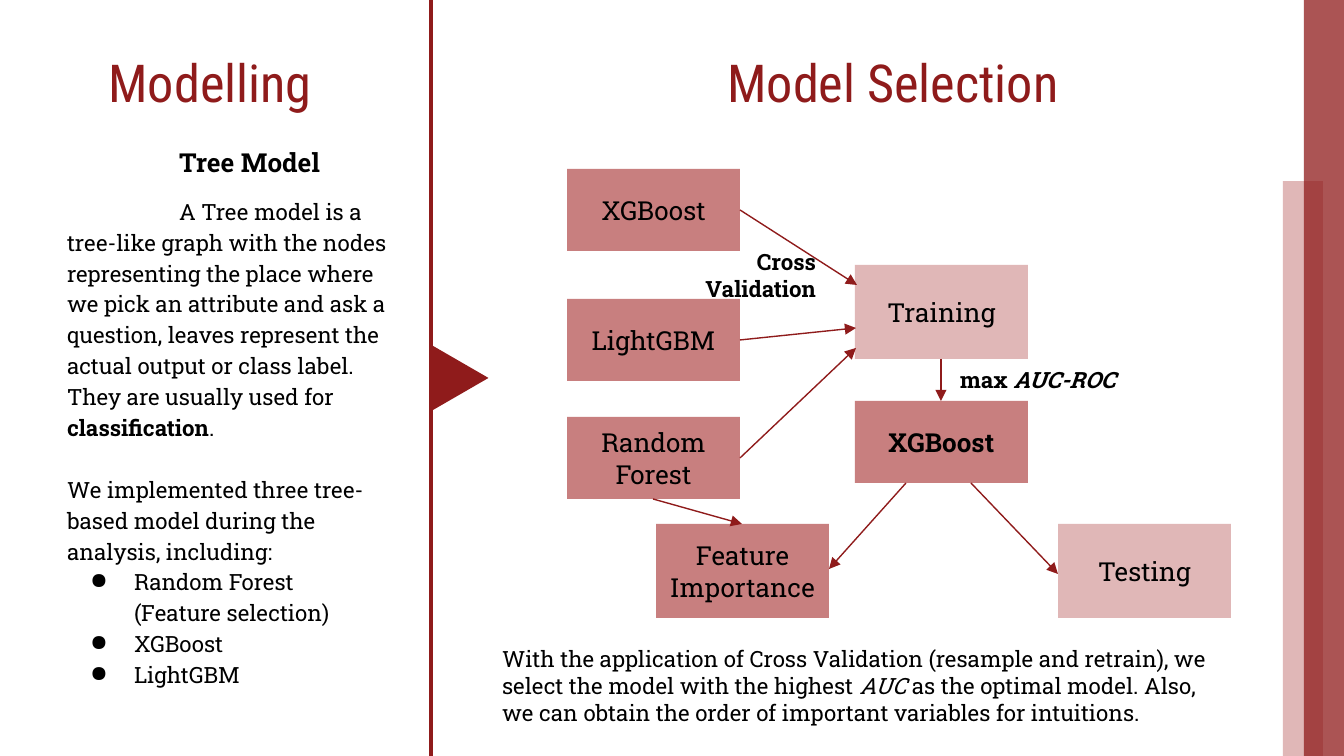
from lxml import etree
from pptx import Presentation
from pptx.dml.color import RGBColor
from pptx.enum.shapes import MSO_CONNECTOR, MSO_SHAPE
from pptx.enum.text import MSO_ANCHOR, PP_ALIGN
from pptx.oxml.ns import qn
from pptx.util import Emu, Pt

EMU_PER_PX = 914400 / 134.4
DARK, ROSE, BLACK = "8F1B1B", "C87F7F", "000000"
BODY, HEADING = "Roboto Slab", "Roboto Condensed"
NODE_W, NODE_H, TALL_H = 173, 82, 94
PALE = 56


def px(n):
    return Emu(round(n * EMU_PER_PX))


def rgb(color):
    return RGBColor.from_string(color)


def add_text(tf, runs, first=False, size=12, font=BODY, color=BLACK, bold=False,
             align=PP_ALIGN.LEFT, margin=0, indent=0, bullet=None,
             spacing=None, before=0):
    """Add a paragraph; runs is a string or (text, bold, italic) tuples."""
    p = tf.paragraphs[0] if first else tf.add_paragraph()
    p.alignment = align
    pPr = p._p.get_or_add_pPr()
    pPr.set("marL", str(px(margin)))
    pPr.set("indent", str(px(indent)))
    if bullet:
        etree.SubElement(pPr, qn("a:buChar")).set("char", bullet)
    if spacing:
        p.line_spacing = spacing
    if before:
        p.space_before = Pt(before)
    if isinstance(runs, str):
        runs = [(runs, bold, False)]
    for text, is_bold, is_italic in runs:
        for i, line in enumerate(text.split("\n")):
            if i:
                p.add_line_break()
            r = p.add_run()
            r.text = line
            r.font.name, r.font.size = font, Pt(size)
            r.font.bold, r.font.italic = is_bold, is_italic
            r.font.color.rgb = rgb(color)


def set_frame(tf, anchor):
    tf.word_wrap = True
    tf.vertical_anchor = anchor
    tf.margin_left = tf.margin_right = tf.margin_top = tf.margin_bottom = px(13)


def add_box(s, x, y, w, h, anchor=MSO_ANCHOR.TOP):
    tf = s.shapes.add_textbox(px(x), px(y), px(w), px(h)).text_frame
    set_frame(tf, anchor)
    return tf


def add_title(s, text, x, w):
    tf = add_box(s, x, 31, w, 102, MSO_ANCHOR.MIDDLE)
    add_text(tf, text, first=True, size=28, font=HEADING, color=DARK,
             align=PP_ALIGN.CENTER)


def add_filled(s, kind, x, y, w, h, color, opacity=100):
    sp = s.shapes.add_shape(kind, px(x), px(y), px(w), px(h))
    sp.shadow.inherit = False
    sp.fill.solid()
    sp.fill.fore_color.rgb = rgb(color)
    sp.line.fill.background()
    if opacity < 100:
        clr = sp._element.spPr.find(".//" + qn("a:srgbClr"))
        etree.SubElement(clr, qn("a:alpha")).set("val", str(opacity * 1000))
    return sp


def add_node(s, text, x, y, h=NODE_H, opacity=100, bold=False):
    sp = add_filled(s, MSO_SHAPE.RECTANGLE, x, y, NODE_W, h, ROSE, opacity)
    set_frame(sp.text_frame, MSO_ANCHOR.MIDDLE)
    add_text(sp.text_frame, text, first=True, size=14, bold=bold,
             align=PP_ALIGN.CENTER)


def add_line(s, x1, y1, x2, y2, width=0.75, arrow=True):
    c = s.shapes.add_connector(MSO_CONNECTOR.STRAIGHT, px(x1), px(y1), px(x2), px(y2))
    c.line.color.rgb = rgb(DARK)
    c.line.width = Pt(width)
    if arrow:
        etree.SubElement(c.line._get_or_add_ln(), qn("a:tailEnd")).set("type", "triangle")
    etree.SubElement(c._element.spPr, qn("a:effectLst"))


def add_modelling_text(s):
    tf = add_box(s, 54, 129, 348, 627)
    add_text(tf, "Tree Model", first=True, size=14, bold=True, margin=112, spacing=1.15)
    add_text(tf, [
        ("A Tree model is a tree-like graph with the nodes representing the place "
         "where we pick an attribute and ask a question, leaves represent the actual "
         "output or class label. They are usually used for ", False, False),
        ("classification", True, False), (".", False, False),
    ], indent=112, spacing=1.15, before=8.5)
    add_text(tf, "We implemented three tree-based model during the analysis, including:",
             spacing=1.15, before=16.5)
    for model in ("Random Forest\n(Feature selection)", "XGBoost", "LightGBM"):
        add_text(tf, model, margin=67, indent=-44, bullet="●", spacing=1.15)


def add_flow(s):
    for text, y in (("XGBoost", 169), ("LightGBM", 299), ("Random Forest", 417)):
        add_node(s, text, 567, y)
    add_node(s, "Feature Importance", 656, 524, TALL_H)
    add_node(s, "Training", 855, 265, TALL_H, PALE)
    add_node(s, "XGBoost", 855, 401, bold=True)
    add_node(s, "Testing", 1058, 524, TALL_H, PALE)

    for ends in ((740, 210, 857, 285), (740, 340, 856, 328), (740, 458, 856, 348),
                 (941, 359, 941, 401), (971, 483, 1058, 574), (906, 483, 829, 569),
                 (653, 499, 742, 524)):
        add_line(s, *ends)

    add_text(add_box(s, 656, 235, 173, 82), "Cross Validation", first=True,
             bold=True, align=PP_ALIGN.RIGHT)
    add_text(add_box(s, 947, 353, 290, 54),
             [("max", True, False), (" AUC-ROC", True, True)], first=True)


def main():
    prs = Presentation()
    prs.slide_width, prs.slide_height = px(1344), px(756)
    s = prs.slides.add_slide(prs.slide_layouts[6])

    add_filled(s, MSO_SHAPE.RECTANGLE, 1283, 181, 40, 575, ROSE, PALE)
    add_filled(s, MSO_SHAPE.RECTANGLE, 1304, 0, 40, 756, DARK, 75)
    add_filled(s, MSO_SHAPE.ISOSCELES_TRIANGLE, 426, 349, 67, 58, DARK).rotation = 90
    add_line(s, 431, 0, 431, 756, width=2.25, arrow=False)

    add_title(s, "Modelling", 36, 348)
    add_title(s, "Model Selection", 656, 474)
    add_modelling_text(s)
    add_flow(s)
    add_text(add_box(s, 489, 632, 749, 109), [
        ("With the application of Cross Validation (resample and retrain), we select "
         "the model with the highest ", False, False),
        ("AUC", False, True),
        (" as the optimal model. Also, we can obtain the order of important variables "
         "for intuitions.", False, False),
    ], first=True)
    prs.save("out.pptx")


if __name__ == "__main__":
    main()
